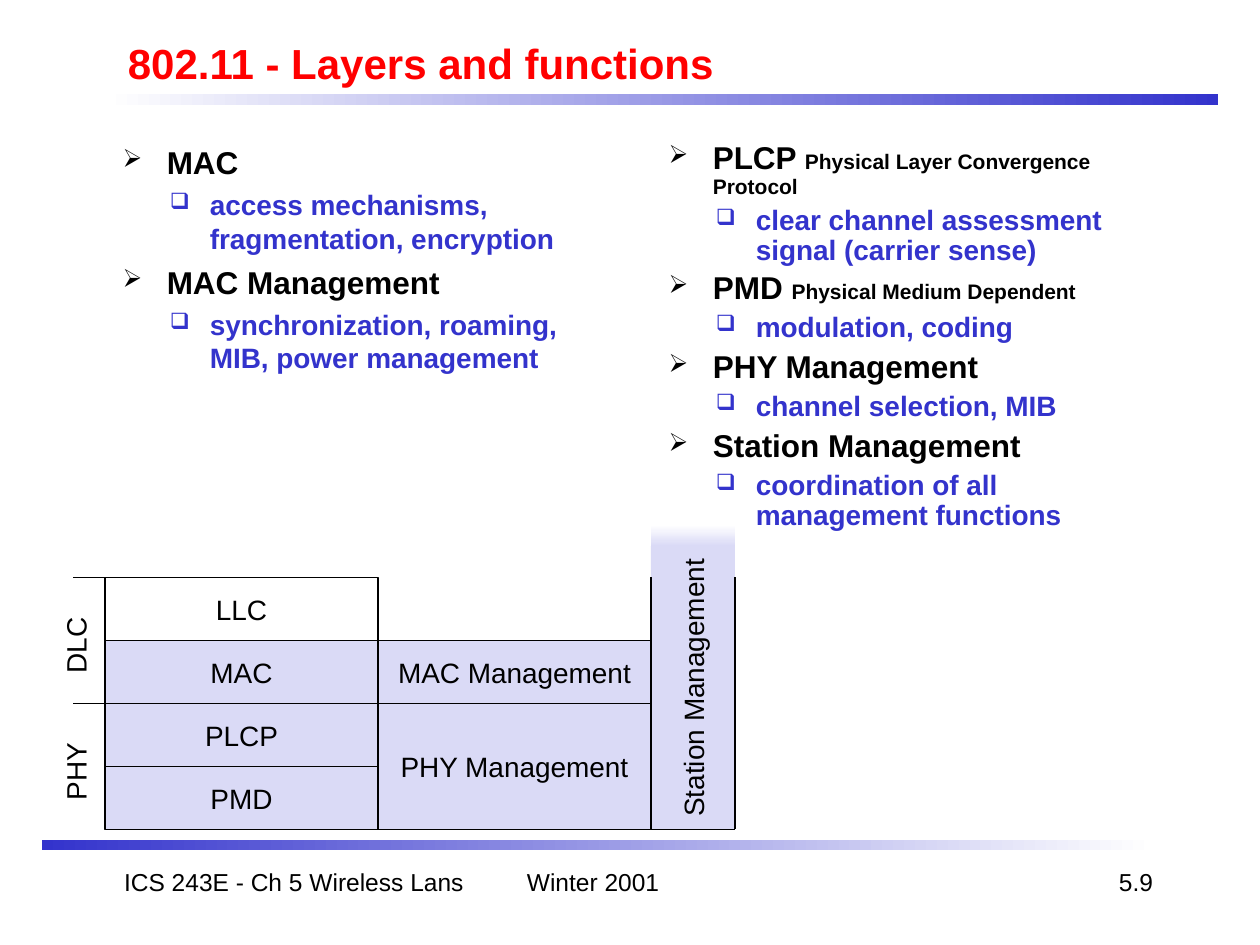
import dataclasses

import pptx
import pptx.dml.color
import pptx.enum.shapes
import pptx.enum.text
import pptx.oxml
import pptx.oxml.ns
import pptx.util

ALIGN = pptx.enum.text.PP_ALIGN
ANCHOR = pptx.enum.text.MSO_ANCHOR
RECTANGLE = pptx.enum.shapes.MSO_SHAPE.RECTANGLE
STRAIGHT = pptx.enum.shapes.MSO_CONNECTOR.STRAIGHT


@dataclasses.dataclass(frozen=True)
class Theme:
    """Colours, font and type sizes of the slide."""
    font: str = "Arial"
    black: str = "000000"
    white: str = "FFFFFF"
    red: str = "FF0000"
    blue: str = "3333CC"
    lilac: str = "DADAF6"
    title: int = 24
    topic: int = 18
    body: int = 16
    footer: int = 14
    expansion: int = 12
    line: float = 0.75


THEME = Theme()


def px(length):
    """Turn px, 120 to the inch, into EMU."""
    return pptx.util.Emu(length * 7620)


def rgb(value):
    """Return a colour from its hex value."""
    return pptx.dml.color.RGBColor.from_string(value)


def style(span, size, colour=THEME.black, bold=False):
    """Format one run."""
    span.font.name = THEME.font
    span.font.size = pptx.util.Pt(size)
    span.font.color.rgb = rgb(colour)
    span.font.bold = bold


def add_text(page, box, text, size, colour=THEME.black, bold=False,
             align=ALIGN.LEFT, anchor=ANCHOR.TOP, wrap=True):
    """Add a text box with one formatted line and return it."""
    label = page.shapes.add_textbox(*map(px, box))
    set_text(label, text, size, colour, bold, align, anchor, wrap)
    return label


def set_text(shape, text, size, colour=THEME.black, bold=False,
             align=ALIGN.CENTER, anchor=ANCHOR.MIDDLE, wrap=False):
    """Write one formatted line into a shape."""
    frame = shape.text_frame
    frame.text = text
    frame.word_wrap = wrap
    frame.vertical_anchor = anchor
    para = frame.paragraphs[0]
    para.alignment = align
    style(para.runs[0], size, colour, bold)


def add_block(page, box, fill, outlined=False):
    """Add a filled rectangle and return it."""
    block = page.shapes.add_shape(RECTANGLE, *map(px, box))
    block.shadow.inherit = False
    block.fill.solid()
    block.fill.fore_color.rgb = rgb(fill)
    if outlined:
        block.line.color.rgb = rgb(THEME.black)
        block.line.width = pptx.util.Pt(THEME.line)
    else:
        block.line.fill.background()
    return block


def add_fade(page, box, colours, angle=0):
    """Add a rectangle that blends from one colour to another."""
    block = add_block(page, box, colours[0])
    block.fill.gradient()
    block.fill.gradient_angle = angle
    for stop, position, colour in zip(block.fill.gradient_stops, (0, 1), colours):
        stop.position = position
        stop.color.rgb = rgb(colour)


def add_line(page, *ends):
    """Add a thin straight line from x, y to x, y."""
    line = page.shapes.add_connector(STRAIGHT, *map(px, ends))
    line.line.color.rgb = rgb(THEME.black)
    line.line.width = pptx.util.Pt(THEME.line)
    properties = line._element.spPr
    properties.append(properties.makeelement(pptx.oxml.ns.qn("a:effectLst"), {}))


def add_bullet(para, mark, colour, margin, indent):
    """Give a paragraph a hanging bullet."""
    properties = para._p.get_or_add_pPr()
    properties.set("marL", str(px(margin)))
    properties.set("indent", str(px(-indent)))
    namespace = pptx.oxml.ns.nsdecls("a")
    for element in (
        f'<a:buClr {namespace}><a:srgbClr val="{colour}"/></a:buClr>',
        f'<a:buSzPct {namespace} val="80000"/>',
        f'<a:buChar {namespace} char="{mark}"/>',
    ):
        properties.append(pptx.oxml.parse_xml(element))


def add_topics(page, box, topics, spacing=1.0):
    """Add a two-level list of topics, expansions and details."""
    frame = page.shapes.add_textbox(*map(px, box)).text_frame
    frame.word_wrap = True
    for index, (topic, expansion, detail) in enumerate(topics):
        head = frame.add_paragraph() if index else frame.paragraphs[0]
        add_bullet(head, "➢", THEME.black, 57, 42)
        head.line_spacing = spacing
        if index:
            head.space_before = pptx.util.Pt(3 if expansion else 4.5)
        head.text = f"{topic} " if expansion else topic
        style(head.runs[0], THEME.topic, bold=True)
        if expansion:
            span = head.add_run()
            span.text = expansion
            style(span, THEME.expansion, bold=True)
        para = frame.add_paragraph()
        para.level = 1
        add_bullet(para, "❑", THEME.blue, 98, 38)
        para.line_spacing = spacing
        para.space_before = pptx.util.Pt(4)
        para.text = detail
        style(para.runs[0], THEME.body, THEME.blue, True)


def add_header(page, box):
    """Add the title and the bar below it."""
    left, top, width, _ = box
    add_fade(page, (left, top + 60, width, 10), (THEME.white, THEME.blue))
    add_text(page, (left + 10, top, 1020, 60), "802.11 - Layers and functions",
             THEME.title, THEME.red, True, anchor=ANCHOR.MIDDLE)


def add_footer(page, box):
    """Add the bottom bar and the three footer texts."""
    left, top, width, _ = box
    add_fade(page, (left, top, width, 10), (THEME.blue, THEME.white))
    for offset, length, text, align in (
        (50, 380, "ICS 243E - Ch 5 Wireless Lans", ALIGN.CENTER),
        (450, 250, "Winter 2001", ALIGN.LEFT),
        (820, 250, "5.9", ALIGN.RIGHT),
    ):
        add_text(page, (left + offset, top + 20, length, 60), text,
                 THEME.footer, align=align)


def add_layers(page, box):
    """Add the layer stack with its management blocks and side labels."""
    left, top, width, height = box
    row, column, tick = 60, 260, 30
    stack = left + tick
    for across, down, rows, name in (
        (0, 0, 1, "LLC"), (0, 1, 1, "MAC"), (0, 2, 1, "PLCP"), (0, 3, 1, "PMD"),
        (1, 1, 1, "MAC Management"), (1, 2, 2, "PHY Management"),
    ):
        fill = THEME.white if name == "LLC" else THEME.lilac
        place = (stack + across * column, top + down * row, column, rows * row)
        set_text(add_block(page, place, fill, True), name, THEME.body)
    for index, name in enumerate(("DLC", "PHY")):
        level = top + index * 2 * row
        add_line(page, left, level, stack, level)
        label = add_text(page, (left - 48, level + 43, 100, 44), name, THEME.body,
                         align=ALIGN.CENTER, wrap=False)
        label.rotation = 270
    edge, right, bottom = stack + 2 * column, left + width, top + height
    station = add_block(page, (edge, top - 30, right - edge, height + 30), THEME.lilac)
    set_text(station, "Station Management", THEME.body)
    station.text_frame._txBody.bodyPr.set("vert", "vert270")
    for side in (edge, right):
        add_line(page, side, top, side, bottom)
    add_line(page, edge, bottom, right, bottom)
    add_fade(page, (edge, top - 50, right - edge, 20), (THEME.white, THEME.lilac), 270)


def main():
    """Build the slide and save it."""
    deck = pptx.Presentation()
    deck.slide_width, deck.slide_height = px(1200), px(900)
    page = deck.slides.add_slide(deck.slide_layouts[6])
    add_header(page, (100, 30, 1060, 70))
    add_footer(page, (40, 800, 1060, 80))
    add_topics(page, (610, 130, 500, 390), (
        ("PLCP", "Physical Layer Convergence Protocol",
         "clear channel assessment signal (carrier sense)"),
        ("PMD", "Physical Medium Dependent", "modulation, coding"),
        ("PHY Management", "", "channel selection, MIB"),
        ("Station Management", "", "coordination of all management functions"),
    ), 0.9)
    add_topics(page, (90, 130, 500, 300), (
        ("MAC", "", "access mechanisms, fragmentation, encryption"),
        ("MAC Management", "", "synchronization, roaming, MIB, power management"),
    ))
    add_layers(page, (70, 550, 630, 240))
    deck.save("out.pptx")


if __name__ == "__main__":
    main()
